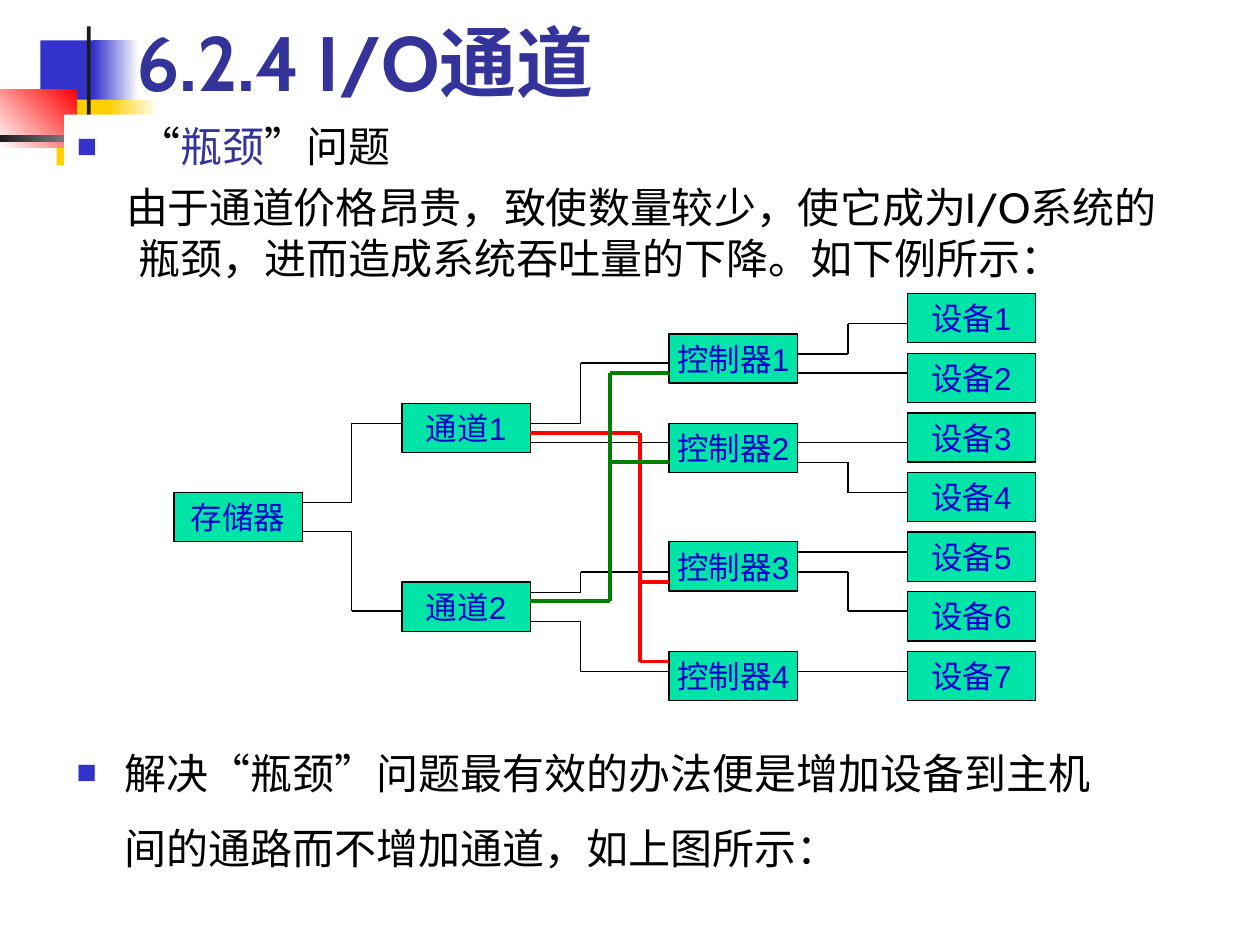
from lxml import etree
from pptx import Presentation
from pptx import util as u
from pptx.dml.color import RGBColor
from pptx.enum import shapes, text
from pptx.oxml import ns

BLUE = RGBColor(0x33, 0x33, 0xCC)
NAVY = RGBColor(0x33, 0x33, 0x99)
INK = RGBColor(0x00, 0x00, 0xCC)
GOLD = RGBColor(0xFF, 0xCF, 0x01)
RED = RGBColor(0xFF, 0x00, 0x00)
GREEN = RGBColor(0x00, 0x80, 0x00)
MINT = RGBColor(0x00, 0xE4, 0xA8)
DARK = RGBColor(0x1C, 0x1C, 0x1C)
BLACK = RGBColor(0x00, 0x00, 0x00)
WHITE = RGBColor(0xFF, 0xFF, 0xFF)


class Deck:
    head = "Cabin"
    label = "Arial"
    wide, high = 1.02, 0.39

    def __init__(self):
        self.prs = Presentation()
        self.prs.slide_width = u.Inches(10)
        self.prs.slide_height = u.Inches(7.5)
        self.slide = self.prs.slides.add_slide(self.prs.slide_layouts[1])

    def rect(self, x, y, w, h):
        shape = self.slide.shapes.add_shape(
            shapes.MSO_SHAPE.RECTANGLE, *map(u.Inches, (x, y, w, h)))
        shape.shadow.inherit = False
        return shape

    def block(self, place, color, end=None, angle=0):
        shape = self.rect(*place)
        shape.line.fill.background()
        if end is None:
            shape.fill.solid()
            shape.fill.fore_color.rgb = color
            return
        shape.fill.gradient()
        shape.fill.gradient_angle = angle
        for stop, tone, spot in zip(shape.fill.gradient_stops, (color, end), (0, 1)):
            stop.color.rgb = tone
            stop.position = spot

    def place(self, holder, x, y, w, h):
        holder.left, holder.top, holder.width, holder.height = map(u.Inches, (x, y, w, h))
        holder.element.getparent().append(holder.element)
        holder.text_frame.auto_size = text.MSO_AUTO_SIZE.NONE
        return holder.text_frame

    def style(self, para, name, size, color, bold=False):
        para.font.name = name
        para.font.size = u.Pt(size)
        para.font.bold = bold
        para.font.color.rgb = color

    def bullet(self, para, margin, indent, mark=None):
        props = para._p.get_or_add_pPr()
        props.set("marL", str(u.Inches(margin)))
        props.set("indent", str(u.Inches(indent)))

        def add(parent, tag, **attrs):
            return etree.SubElement(parent, ns.qn("a:" + tag), **attrs)

        if mark is None:
            add(props, "buNone")
            return
        add(add(props, "buClr"), "srgbClr", val=str(BLUE))
        add(props, "buSzPct", val="80000")
        add(props, "buFont", typeface=self.label)
        add(props, "buChar", char=mark)

    def title(self, words):
        frame = self.place(self.slide.shapes.title, 0.98, 0.05, 8.52, 0.85)
        frame.vertical_anchor = text.MSO_ANCHOR.BOTTOM
        para = frame.paragraphs[0]
        para.text = words
        para.alignment = text.PP_ALIGN.LEFT
        self.style(para, self.head, 44, NAVY, True)

    def body(self, parts, words):
        holder = self.slide.placeholders[1]
        frame = self.place(holder, 0.51, 0.91, 8.98, 1.57)
        holder.fill.solid()
        holder.fill.fore_color.rgb = WHITE
        first, second = frame.paragraphs[0], frame.add_paragraph()
        self.bullet(first, 0.49, -0.49, "■")
        first.space_before = u.Pt(0)
        self.style(first, self.head, 24, BLACK)
        for part, color in parts:
            run = first.add_run()
            run.text = part
            run.font.color.rgb = color
        second.text = words
        self.bullet(second, 0.49, -0.1)
        second.space_before = u.Pt(6)
        self.style(second, self.head, 24, BLACK)

    def note(self, words):
        box = self.slide.shapes.add_textbox(*map(u.Inches, (0.51, 5.68, 8.5, 0.87)))
        box.text_frame.word_wrap = True
        para = box.text_frame.paragraphs[0]
        para.text = words
        self.bullet(para, 0.38, -0.38, "■")
        para.line_spacing = 1.5
        self.style(para, self.head, 24, BLACK)

    def node(self, words, x, y):
        shape = self.rect(x, y, self.wide, self.high)
        shape.fill.solid()
        shape.fill.fore_color.rgb = MINT
        shape.line.color.rgb = BLACK
        shape.line.width = u.Pt(0.75)
        frame = shape.text_frame
        frame.word_wrap = False
        frame.vertical_anchor = text.MSO_ANCHOR.MIDDLE
        para = frame.paragraphs[0]
        para.text = words
        para.alignment = text.PP_ALIGN.CENTER
        self.style(para, self.label, 18, INK)

    def wire(self, points, color=BLACK, width=0.75):
        for start, end in zip(points, points[1:]):
            line = self.slide.shapes.add_connector(
                shapes.MSO_CONNECTOR.STRAIGHT, *map(u.Inches, start + end))
            line.line.color.rgb = color
            line.line.width = u.Pt(width)
            etree.SubElement(line.element.spPr, ns.qn("a:effectLst"))

    def elbow(self, x, y, bend, right, end, **look):
        self.wire([(x, y), (bend, y), (bend, end), (right, end)], **look)


def main():
    deck = Deck()
    deck.block((0.32, 0.32, 0.48, 0.52), BLUE)
    deck.block((0.74, 0.32, 0.36, 0.52), BLUE, WHITE)
    deck.block((0.45, 0.79, 0.46, 0.52), GOLD)
    deck.block((0.86, 0.79, 0.4, 0.52), GOLD, WHITE)
    deck.block((0, 0.71, 0.61, 0.46), WHITE, RED, 45)
    deck.block((0.69, 0.21, 0.03, 1.15), DARK)
    deck.block((0, 1.07, 1.22, 0.06), DARK, WHITE)

    deck.title("6.2.4 I/O通道")
    deck.body(
        [("“", BLACK), ("瓶颈", NAVY), ("”问题", BLACK)],
        "由于通道价格昂贵，致使数量较少，使它成为I/O系统的瓶颈，"
        "进而造成系统吞吐量的下降。如下例所示：")

    store, chan, ctrl, unit = 1.38, 3.19, 5.31, 7.2
    deck.node("存储器", store, 3.91)
    columns = [
        ("通道", chan, [3.2, 4.62]),
        ("控制器", ctrl, [2.65, 3.36, 4.3, 5.17]),
        ("设备", unit, [2.33 + 0.4733 * i for i in range(7)]),
    ]
    for name, x, tops in columns:
        for i, y in enumerate(tops, 1):
            deck.node(f"{name}{i}", x, y)

    links = [
        (store, 2.79, chan, [(3.99, 3.36), (4.22, 4.85)]),
        (chan, 4.61, ctrl, [(3.36, 2.88), (4.7, 4.54), (4.93, 5.33)]),
        (ctrl, 6.73, unit, [(2.81, 2.57), (3.67, 3.91), (4.54, 4.85)]),
    ]
    for x, bend, right, pairs in links:
        for y, end in pairs:
            deck.elbow(x + deck.wide, y, bend, right, end)
    for x, right, rows in [(chan, ctrl, [3.51]), (ctrl, unit, [2.96, 3.51, 4.38, 5.33])]:
        for y in rows:
            deck.wire([(x + deck.wide, y), (right, y)])

    deck.note("解决“瓶颈”问题最有效的办法便是增加设备到主机间的通路而不增加通道，如上图所示：")

    for color, y, bend, end, tap in [(RED, 3.44, 5.08, 5.25, 4.62),
                                     (GREEN, 4.77, 4.84, 2.96, 3.67)]:
        deck.elbow(chan + deck.wide, y, bend, ctrl, end, color=color, width=2.25)
        deck.wire([(bend, tap), (ctrl, tap)], color, 2.25)

    deck.prs.save("out.pptx")


if __name__ == "__main__":
    main()
